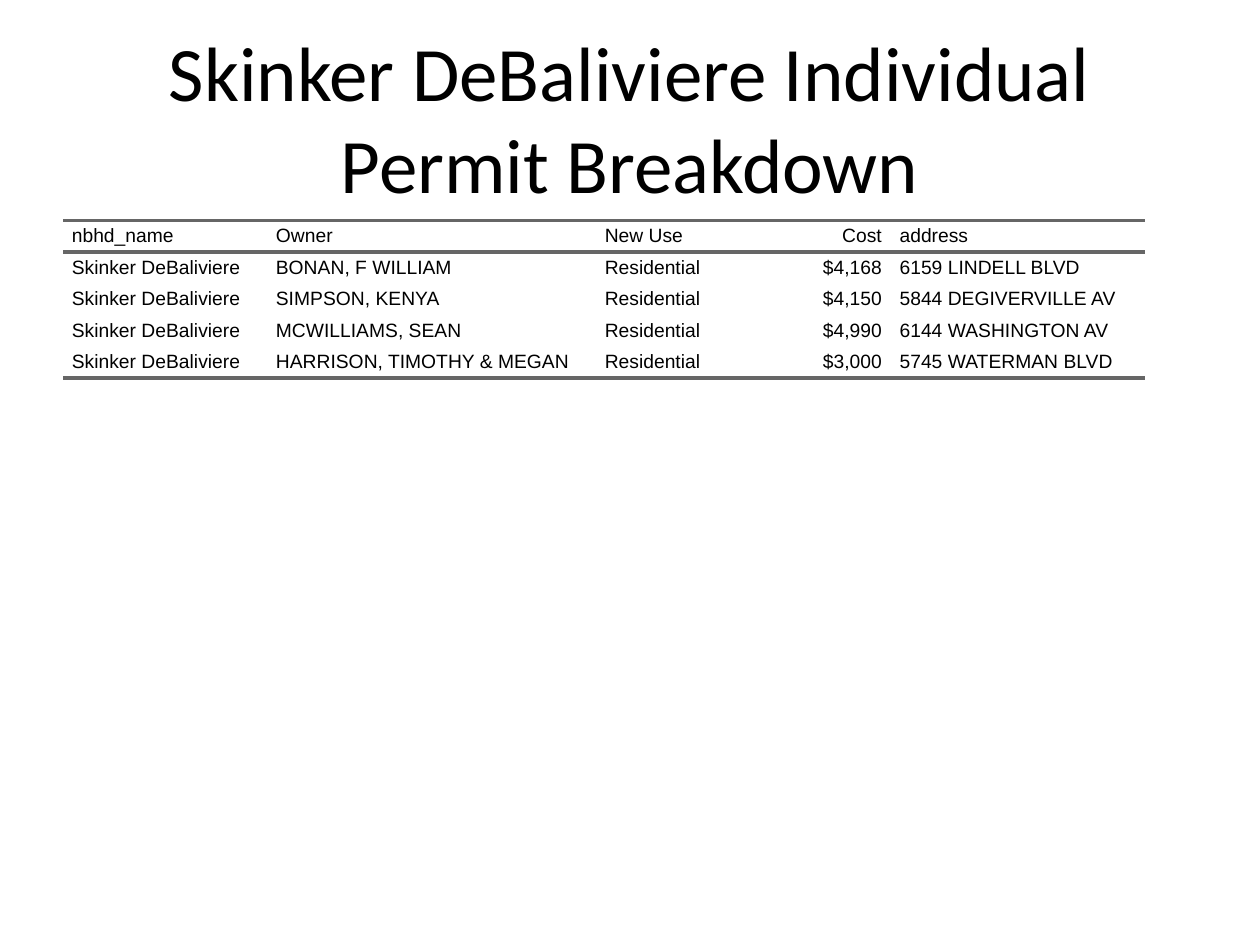
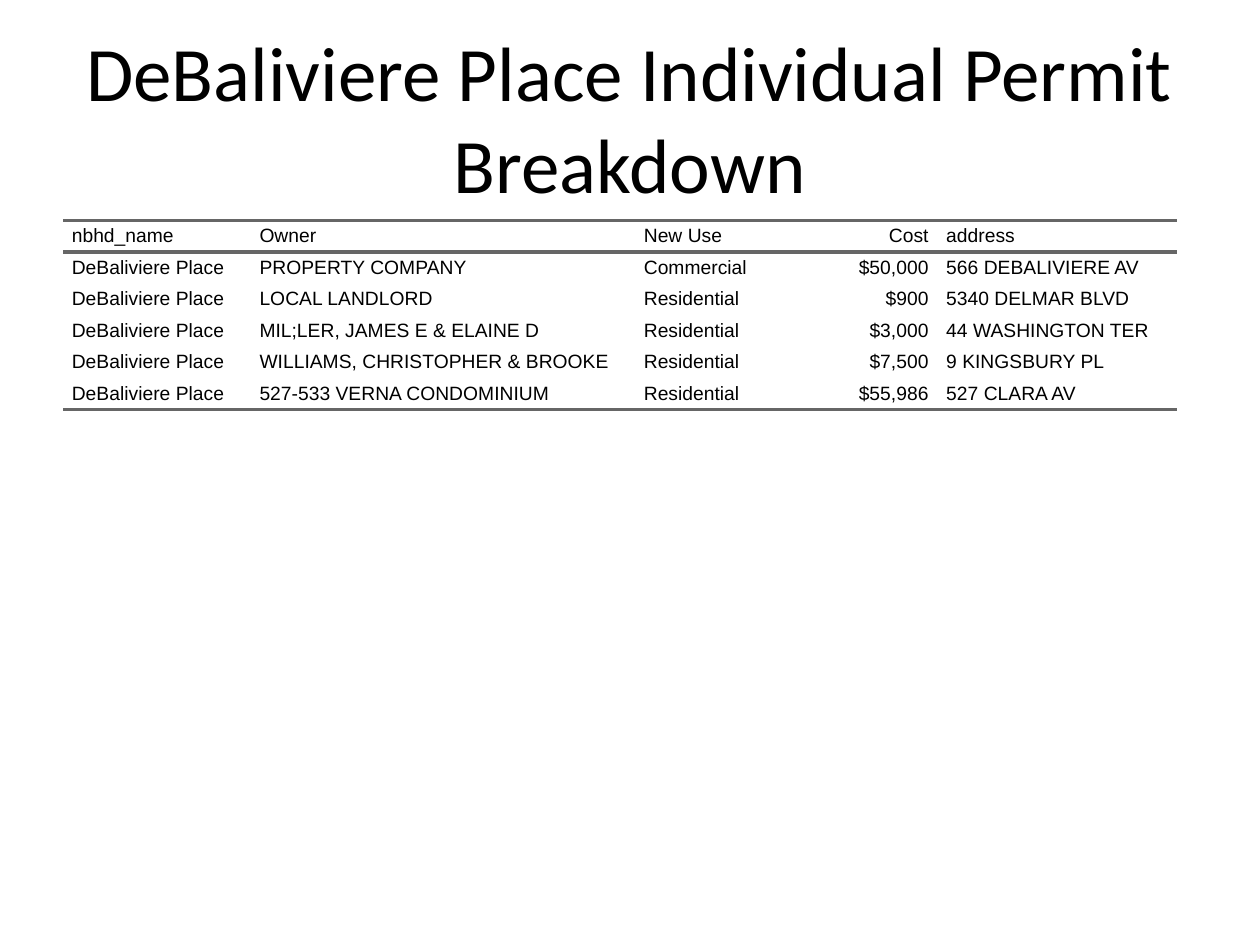
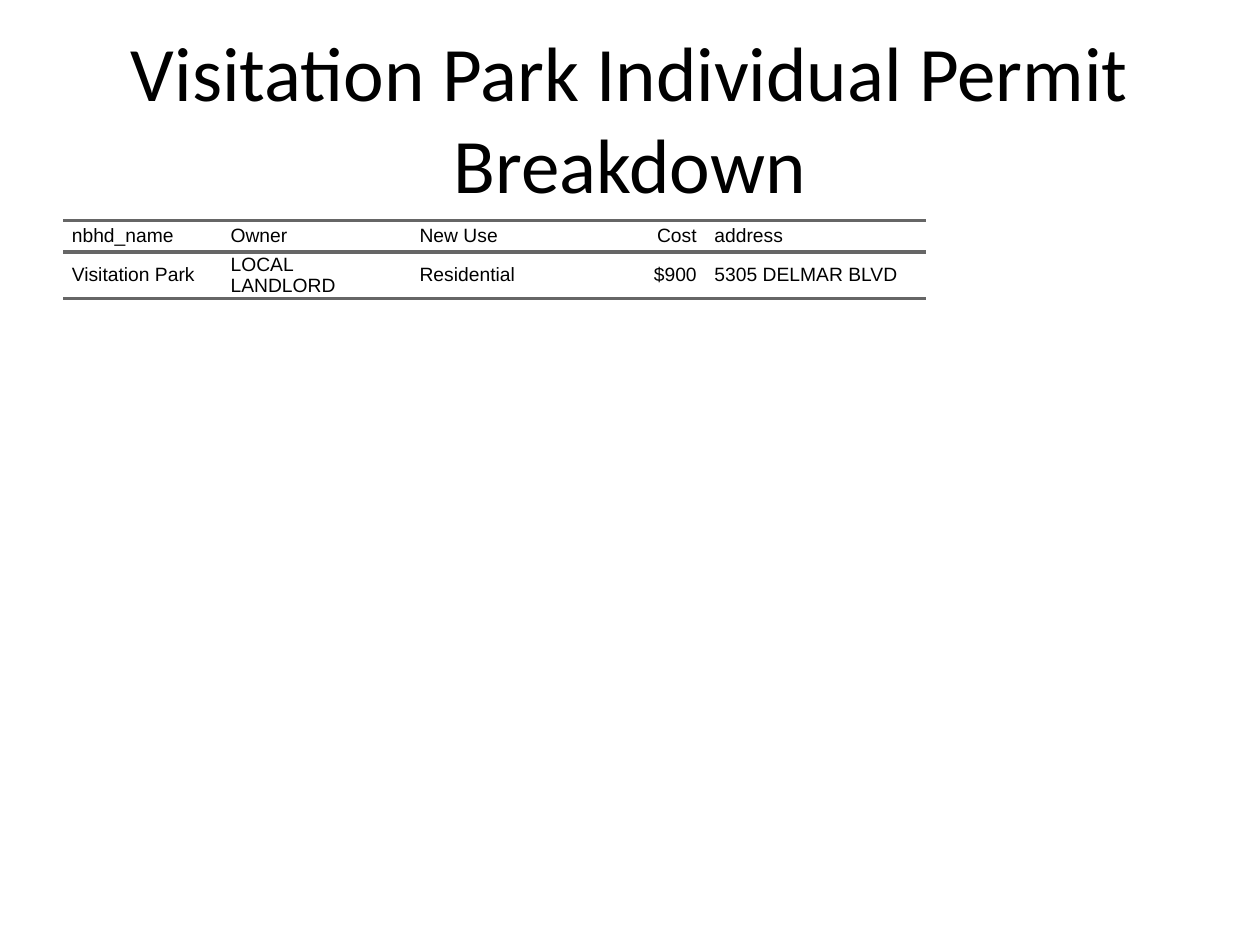
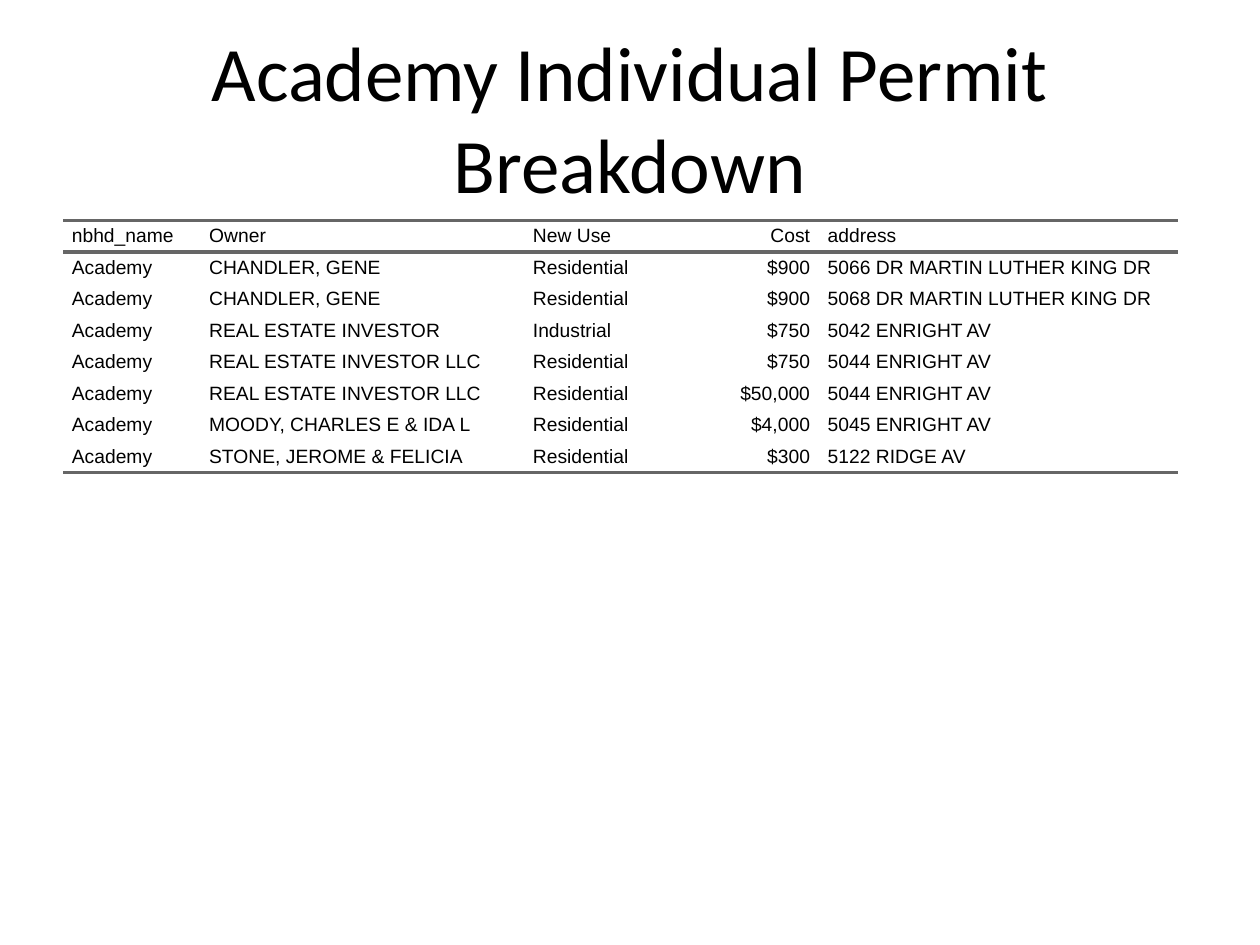
import lxml.etree
import pptx
import pptx.dml.color
import pptx.enum.text
import pptx.oxml.ns
import pptx.util

Inches = pptx.util.Inches
Pt = pptx.util.Pt
ALIGN = pptx.enum.text.PP_ALIGN
MIDDLE = pptx.enum.text.MSO_ANCHOR.MIDDLE

COLOURS = {"text": "000000", "rule": "666666"}
PLAIN_TABLE_STYLE = "{2D5ABB26-0587-4C30-8999-92F81FD0307C}"
RULE_WIDTH = Pt(2)
ROW_HEIGHT = 0.25
TEXT_INDENT = Inches(0.07)
HEADERS = ("nbhd_name", "Owner", "New Use", "Cost", "address")
COST_COLUMN = HEADERS.index("Cost")

NEIGHBORHOODS = [
    {
        "name": "Skinker DeBaliviere",
        "widths": (1.62, 2.61, 1.04, 1.3, 2.02),
        "permits": [
            ("BONAN, F WILLIAM", "Residential", "$4,168", "6159 LINDELL BLVD"),
            ("SIMPSON, KENYA", "Residential", "$4,150", "5844 DEGIVERVILLE AV"),
            ("MCWILLIAMS, SEAN", "Residential", "$4,990", "6144 WASHINGTON AV"),
            ("HARRISON, TIMOTHY & MEGAN", "Residential", "$3,000", "5745 WATERMAN BLVD"),
        ],
    },
    {
        "name": "DeBaliviere Place",
        "widths": (1.49, 3.05, 1.1, 1.3, 1.9),
        "permits": [
            ("PROPERTY COMPANY", "Commercial", "$50,000", "566 DEBALIVIERE AV"),
            ("LOCAL LANDLORD", "Residential", "$900", "5340 DELMAR BLVD"),
            ("MIL;LER, JAMES E & ELAINE D", "Residential", "$3,000", "44 WASHINGTON TER"),
            ("WILLIAMS, CHRISTOPHER & BROOKE", "Residential", "$7,500", "9 KINGSBURY PL"),
            ("527-533 VERNA CONDOMINIUM", "Residential", "$55,986", "527 CLARA AV"),
        ],
    },
    {
        "name": "Visitation Park",
        "widths": (1.26, 1.5, 1.04, 1.3, 1.75),
        "permits": [
            ("LOCAL LANDLORD", "Residential", "$900", "5305 DELMAR BLVD"),
        ],
    },
    {
        "name": "Academy",
        "widths": (1.09, 2.57, 1.04, 1.3, 2.85),
        "permits": [
            ("CHANDLER, GENE", "Residential", "$900", "5066 DR MARTIN LUTHER KING DR"),
            ("CHANDLER, GENE", "Residential", "$900", "5068 DR MARTIN LUTHER KING DR"),
            ("REAL ESTATE INVESTOR", "Industrial", "$750", "5042 ENRIGHT AV"),
            ("REAL ESTATE INVESTOR LLC", "Residential", "$750", "5044 ENRIGHT AV"),
            ("REAL ESTATE INVESTOR LLC", "Residential", "$50,000", "5044 ENRIGHT AV"),
            ("MOODY, CHARLES E & IDA L", "Residential", "$4,000", "5045 ENRIGHT AV"),
            ("STONE, JEROME & FELICIA", "Residential", "$300", "5122 RIDGE AV"),
        ],
    },
]


def style_text(paragraph, font_name, size, alignment):
    paragraph.alignment = alignment
    for span in paragraph.runs:
        span.font.name = font_name
        span.font.size = Pt(size)
        span.font.color.rgb = pptx.dml.color.RGBColor.from_string(COLOURS["text"])


def add_title(page, text):
    box = page.shapes.add_textbox(Inches(0.5), Inches(0.3), Inches(9), Inches(1.25))
    frame = box.text_frame
    frame.word_wrap = True
    frame.vertical_anchor = MIDDLE
    frame.text = text
    style_text(frame.paragraphs[0], "Calibri", 44, ALIGN.CENTER)


def add_rule(cell, edge):
    qn = pptx.oxml.ns.qn
    properties = cell._tc.get_or_add_tcPr()
    line = lxml.etree.SubElement(properties, qn(edge), w=str(RULE_WIDTH))
    fill = lxml.etree.SubElement(line, qn("a:solidFill"))
    lxml.etree.SubElement(fill, qn("a:srgbClr"), val=COLOURS["rule"])


def fill_cell(cell, text, alignment):
    cell.margin_left = cell.margin_right = cell.margin_top = cell.margin_bottom = 0
    cell.vertical_anchor = MIDDLE
    cell.text_frame.text = text
    paragraph = cell.text_frame.paragraphs[0]
    properties = paragraph._p.get_or_add_pPr()
    for side in ("marL", "marR"):
        properties.set(side, str(TEXT_INDENT))
    style_text(paragraph, "Arial", 11, alignment)


def add_permit_table(page, neighborhood):
    widths = neighborhood["widths"]
    rows = [HEADERS] + [(neighborhood["name"],) + permit for permit in neighborhood["permits"]]
    table = page.shapes.add_table(
        len(rows), len(HEADERS), Inches(0.5), Inches(1.75),
        Inches(sum(widths)), Inches(ROW_HEIGHT * len(rows)),
    ).table
    table.first_row = table.horz_banding = False
    table._tbl.tblPr.find(pptx.oxml.ns.qn("a:tableStyleId")).text = PLAIN_TABLE_STYLE
    for column, width in zip(table.columns, widths):
        column.width = Inches(width)
    for row_index, values in enumerate(rows):
        table.rows[row_index].height = Inches(ROW_HEIGHT)
        for column_index, value in enumerate(values):
            cell = table.cell(row_index, column_index)
            fill_cell(cell, value, ALIGN.RIGHT if column_index == COST_COLUMN else ALIGN.LEFT)
            if row_index == 0:
                add_rule(cell, "a:lnT")
            if row_index in (0, len(rows) - 1):
                add_rule(cell, "a:lnB")
            cell.fill.background()


def main():
    deck = pptx.Presentation()
    deck.slide_width = Inches(10)
    deck.slide_height = Inches(7.5)
    for neighborhood in NEIGHBORHOODS:
        page = deck.slides.add_slide(deck.slide_layouts[6])
        add_title(page, f"{neighborhood['name']} Individual Permit Breakdown")
        add_permit_table(page, neighborhood)
    deck.save("out.pptx")


if __name__ == "__main__":
    main()
